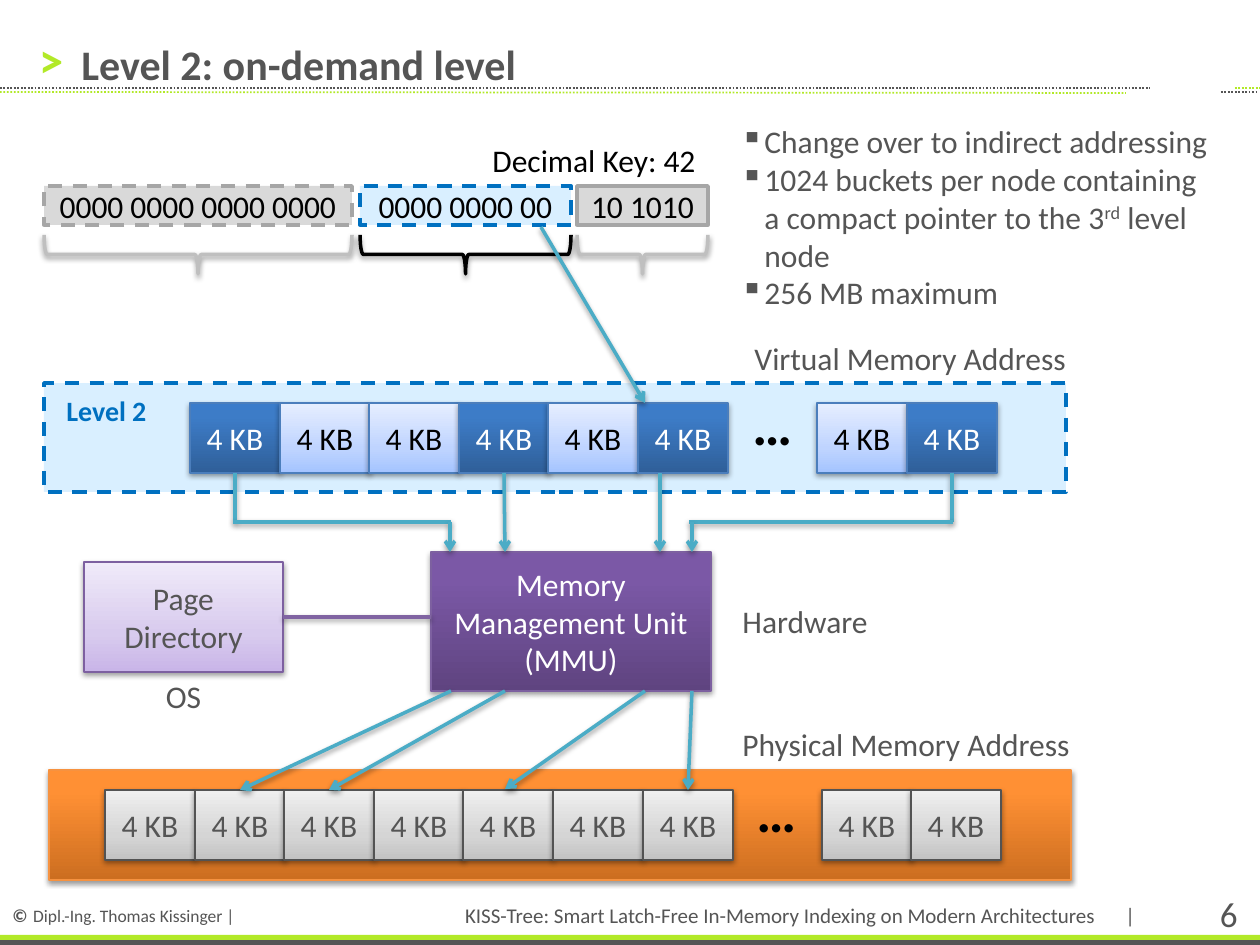
import pptx
import pptx.dml.color
import pptx.enum.dml
import pptx.enum.shapes
import pptx.enum.text
import pptx.oxml.ns
import pptx.util
from lxml import etree

UNIT = 914400 / 126  # EMU per px
FONT = "Calibri"
PITCH = 89.6  # px from one 4 KB cell to the next
INK = {
    "text": "555555", "lime": "B2E928", "black": "000000", "white": "FFFFFF",
    "blue": "0070C0", "sky": "D9EFFF", "grey": "D9D9D9", "edge": "A6A6A6",
    "brace": "BFBFBF", "arrow": "4BACC6", "plum": "8064A2",
}
# Gradient stops (bottom to top), outline and text colour
LOOKS = {
    "dark": ([(0, "2F5F99"), (80, "3D7CC7"), (100, "3A7CCB")], "4B7EBC", "white"),
    "light": ([(0, "A4C4FF"), (35, "BFD4FF"), (100, "E6EEFF")], "4B7EBC", "black"),
    "steel": ([(0, "C3C3C3"), (35, "D5D5D5"), (100, "EFEFEF")], "535353", "text"),
    "orange": ([(0, "CC6E20"), (80, "FF9034"), (100, "FF9136")], "F69240", "text"),
    "purple": ([(0, "5F4480"), (80, "7B58A6"), (100, "7C57A8")], "7D60A0", "white"),
    "lilac": ([(0, "C9B5E8"), (35, "D8CBEE"), (100, "F0EAF9")], "7D60A0", "text"),
}
KIND = pptx.enum.shapes.MSO_SHAPE
DASH = pptx.enum.dml.MSO_LINE
ALIGN = pptx.enum.text.PP_ALIGN
MID = pptx.enum.text.MSO_ANCHOR.MIDDLE


def emu(*sizes):
    return [round(size * UNIT) for size in sizes]


def rgb(code):
    return pptx.dml.color.RGBColor.from_string(code)


def child(parent, tag, **attrs):
    return etree.SubElement(parent, pptx.oxml.ns.qn(tag), attrs)


def shade(node):
    """Drop a soft shadow downwards, as content of an effect list."""
    drop = child(node, "a:outerShdw", blurRad="40000", dist="20000",
                 dir="5400000", rotWithShape="0")
    tint = child(drop, "a:srgbClr", val=INK["black"])
    child(tint, "a:alpha", val="38000")


def style(font, size, ink, bold=False):
    font.name = FONT
    font.size = pptx.util.Pt(size)
    font.bold = bold
    font.color.rgb = rgb(INK[ink])


def text(slide, box, words, size=18, ink="text", bold=False, align=None, anchor=None):
    frame = slide.shapes.add_textbox(*emu(*box)).text_frame
    frame.word_wrap = True
    frame.vertical_anchor = anchor
    frame.text = words
    for para in frame.paragraphs:
        para.alignment = align
        for run in para.runs:
            style(run.font, size, ink, bold)
    return frame


def shape(slide, box, kind=KIND.RECTANGLE, shadow=False):
    item = slide.shapes.add_shape(kind, *emu(*box))
    item.shadow.inherit = False
    if shadow:
        shade(item.element.spPr.find(pptx.oxml.ns.qn("a:effectLst")))
    return item


def label(item, words, ink):
    frame = item.text_frame
    frame.word_wrap = True
    frame.vertical_anchor = MID
    frame.text = words
    para = frame.paragraphs[0]
    para.alignment = ALIGN.CENTER
    style(para.runs[0].font, 18, ink)


def flat(slide, box, fill, edge=None, dash=None, words=None):
    item = shape(slide, box)
    item.fill.solid()
    item.fill.fore_color.rgb = rgb(INK[fill])
    if edge:
        item.line.color.rgb = rgb(INK[edge])
        item.line.width = pptx.util.Pt(2)
        item.line.dash_style = dash
    else:
        item.line.fill.background()
    if words:
        label(item, words, "black")


def block(slide, box, look, words=None):
    stops, edge, ink = LOOKS[look]
    item = shape(slide, box, shadow=True)
    item.fill.gradient()
    item.fill.gradient_angle = 90
    ramp = item.element.spPr.find(".//" + pptx.oxml.ns.qn("a:gsLst"))
    for stop in list(ramp):
        ramp.remove(stop)
    for place, code in stops:
        child(child(ramp, "a:gs", pos=str(place * 1000)), "a:srgbClr", val=code)
    item.line.color.rgb = rgb(edge)
    item.line.width = pptx.util.Pt(0.75)
    if words:
        label(item, words, ink)
    return item


def brace(slide, left, wide, ink):
    """A brace that opens upwards, below a part of the key."""
    top, high = 235, 39
    turn = (wide - high) / 2
    item = shape(slide, (left + turn, top - turn, high, wide), KIND.RIGHT_BRACE, True)
    item.rotation = 90
    item.fill.background()
    item.line.color.rgb = rgb(INK[ink])
    item.line.width = pptx.util.Pt(2)


def line(slide, ends, ink="arrow", width=2, dash=None, head=False, shadow=True):
    item = slide.shapes.add_connector(pptx.enum.shapes.MSO_CONNECTOR.STRAIGHT, *emu(*ends))
    item.line.color.rgb = rgb(INK[ink])
    item.line.width = pptx.util.Pt(width)
    item.line.dash_style = dash
    if head:
        child(item.line._get_or_add_ln(), "a:tailEnd", type="arrow")
    node = child(item.element.spPr, "a:effectLst")
    if shadow:
        shade(node)
    return item


def cells(slide, left, top, looks):
    """Row of 4 KB cells; a None slot holds the dots."""
    row = []
    for slot, look in enumerate(looks):
        x = left + round(slot * PITCH)
        if look:
            row.append(block(slide, (x, top, 90, 70), look, "4 KB"))
        else:
            row.append(None)
            text(slide, (x + 12, top - 20, 79, 81), "…", 32, "black", True)
    return row


def master(slide):
    # Footer
    para = text(slide, (0, 892, 276, 43), "©", 10.5, bold=True).paragraphs[0]
    for words, size in ((" ", 14), ("Dipl.-Ing. Thomas Kissinger |", 10)):
        run = para.add_run()
        run.text = words
        style(run.font, size, "text")
    flat(slide, (0, 940, 1260, 5), "text")
    flat(slide, (0, 935, 1260, 5), "lime")
    text(slide, (1113, 896, 29, 39), "|", 12, align=ALIGN.RIGHT)
    text(slide, (1152, 886, 98, 55), "6", 20, align=ALIGN.RIGHT)
    text(slide, (374, 896, 739, 38),
         "KISS-Tree: Smart Latch-Free In-Memory Indexing on Modern Architectures ",
         12, align=ALIGN.RIGHT, anchor=MID)
    # Dotted rules and title
    for ends, ink in (((1221, 92, 1259, 92), "text"), ((1235, 88, 1260, 88), "lime"),
                      ((0, 88, 1150, 88), "text"), ((0, 92, 1126, 93), "lime")):
        line(slide, ends, ink, 1, DASH.ROUND_DOT, shadow=False)
    mark = text(slide, (39, 29, 29, 59), ">", 28, "lime", True, anchor=MID)
    mark.margin_left = mark.margin_right = mark.margin_top = mark.margin_bottom = 0
    text(slide, (69, 28, 709, 71), "Level 2: on-demand level", 24, bold=True, anchor=MID)


def key(slide):
    text(slide, (398, 135, 310, 50), "Decimal Key: 42", 18, "black", align=ALIGN.RIGHT)
    for left, wide, fill, edge, dash, ink, words in (
            (44, 308, "grey", "edge", DASH.DASH, "brace", "0000 0000 0000 0000"),
            (360, 211, "sky", "blue", DASH.DASH, "black", "0000 0000 00"),
            (577, 131, "grey", "edge", None, "brace", "10 1010")):
        flat(slide, (left, 186, wide, 39), fill, edge, dash, words)
        brace(slide, left, wide, ink)


def notes(slide):
    frame = text(slide, (728, 116, 496, 204),
                 "Change over to indirect addressing\n"
                 "1024 buckets per node containing a compact pointer to the 3\n"
                 "256 MB maximum")
    for para in frame.paragraphs:
        props = para._p.get_or_add_pPr()
        indent = emu(24)[0]
        props.set("marL", str(indent))
        props.set("indent", str(-indent))
        child(props, "a:buChar", char="▪")
    for words, base in (("rd", "30000"), (" level node", "0")):
        run = frame.paragraphs[1].add_run()
        run.text = words
        style(run.font, 18, "text")
        run.font._element.set("baseline", base)


def memory(slide):
    # Virtual memory
    flat(slide, (44, 383, 1022, 109), "sky", "blue", DASH.DASH)
    text(slide, (54, 387, 357, 47), "Level 2", 16, "blue", True)
    row = cells(slide, 190, 403, ["dark", "light", "light", "dark", "light", "dark",
                                  None, "light", "dark"])
    # Memory management unit and page directory
    block(slide, (431, 552, 280, 139), "purple", "Memory Management Unit (MMU)")
    page = block(slide, (84, 562, 199, 110), "lilac", "Page Directory")
    line(slide, (283, 617, 431, 617), "plum").begin_connect(page, 3)
    # Physical memory
    block(slide, (49, 770, 1022, 110), "orange")
    store = cells(slide, 105, 790, ["steel"] * 7 + [None] + ["steel"] * 2)

    # Virtual cells to the unit
    for slot, ends, head in ((0, (235, 473, 235, 522), False),
                             (3, (505, 473, 505, 552), True),
                             (8, (952, 473, 952, 522), False)):
        line(slide, ends, head=head).begin_connect(row[slot], 2)
    for ends, head in (((233, 522, 451, 522), False), ((450, 522, 450, 552), True),
                       ((660, 473, 660, 552), True), ((689, 522, 953, 522), False),
                       ((692, 522, 692, 552), True), ((541, 227, 645, 403), True)):
        line(slide, ends, head=head)
    # Unit to the physical cells
    for slot, start, end in ((1, 451, 240), (2, 505, 329), (6, 692, 688)):
        line(slide, (start, 691, end, 790), head=True).end_connect(store[slot], 0)
    line(slide, (645, 691, 505, 789), head=True)

    # Captions
    for left, top, words in ((742, 333, "Virtual Memory Address"),
                             (730, 719, "Physical Memory Address"),
                             (730, 596, "Hardware")):
        text(slide, (left, top, 374, 50), words)
    text(slide, (84, 671, 199, 50), "OS", align=ALIGN.CENTER)


def main():
    deck = pptx.Presentation()
    deck.slide_width, deck.slide_height = emu(1260, 945)
    slide = deck.slides.add_slide(deck.slide_layouts[6])
    master(slide)
    key(slide)
    memory(slide)
    notes(slide)
    deck.save("out.pptx")


if __name__ == "__main__":
    main()
